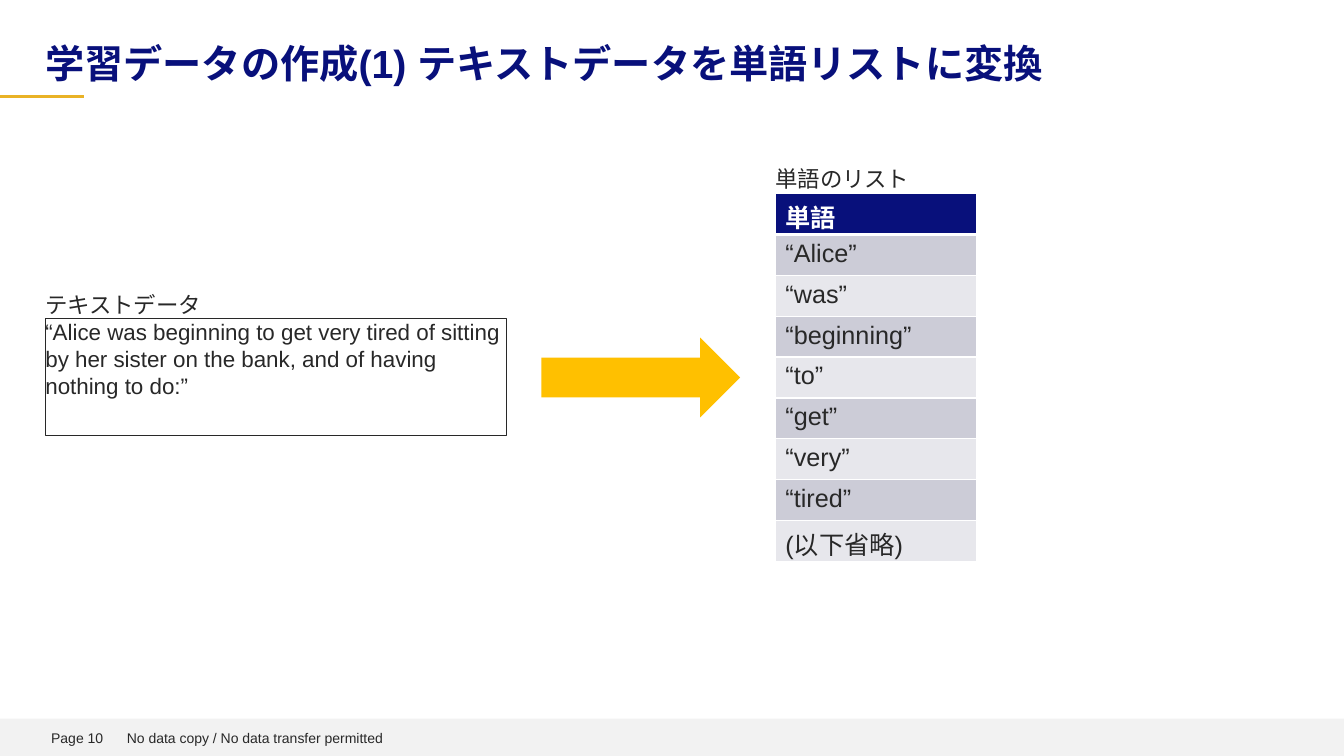
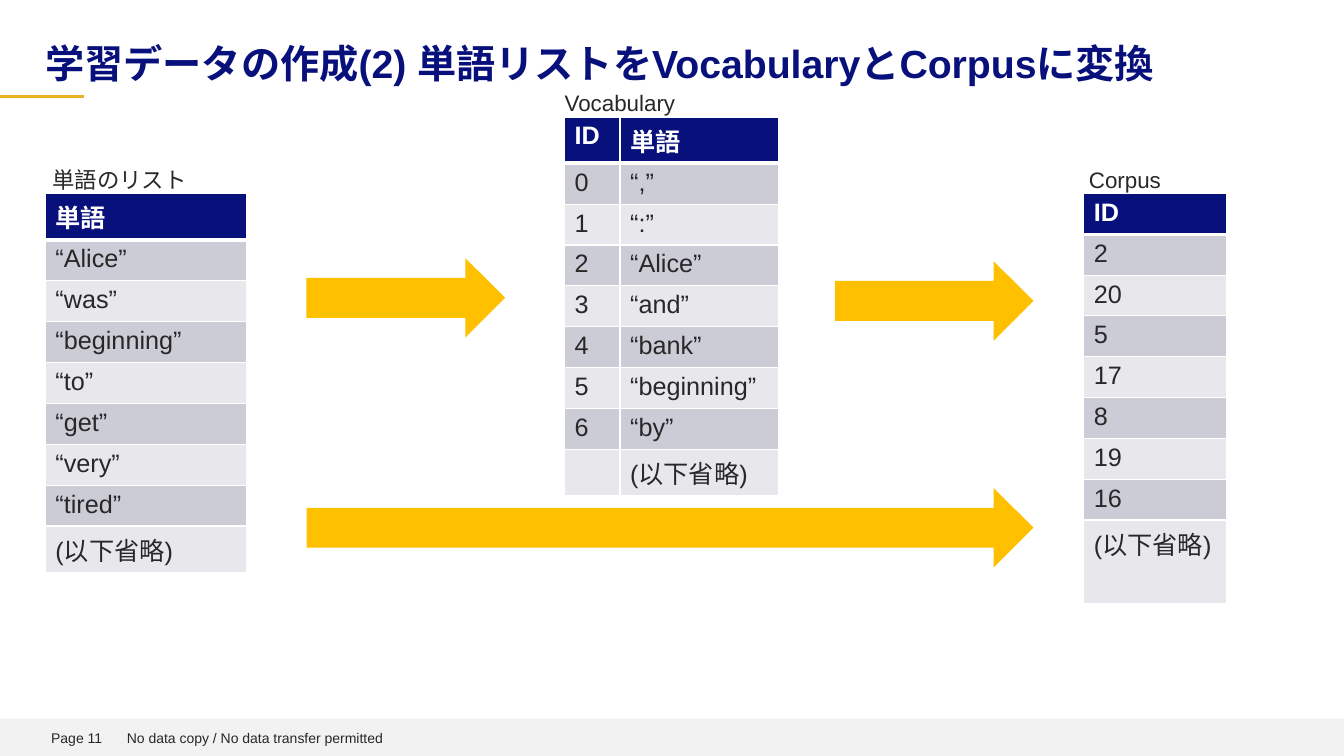
from lxml import etree
from pptx import Presentation
from pptx.dml.color import RGBColor
from pptx.enum.shapes import MSO_CONNECTOR, MSO_SHAPE
from pptx.enum.text import MSO_ANCHOR
from pptx.oxml.ns import qn
from pptx.util import Inches, Pt

NAVY = RGBColor(0x08, 0x10, 0x7B)
GOLD = RGBColor(0xE9, 0xB2, 0x26)
AMBER = RGBColor(0xFF, 0xC0, 0x00)
INK = RGBColor(0x28, 0x28, 0x28)
WHITE = RGBColor(0xFF, 0xFF, 0xFF)
FOOTER_GRAY = RGBColor(0xF2, 0xF2, 0xF2)
BANDS = (RGBColor(0xCC, 0xCC, 0xD7), RGBColor(0xE7, 0xE7, 0xEC))

FONT = "Arial"
STRAIGHT = MSO_CONNECTOR.STRAIGHT
RECTANGLE = MSO_SHAPE.RECTANGLE
RIGHT_ARROW = MSO_SHAPE.RIGHT_ARROW
TOP, MIDDLE, BOTTOM = MSO_ANCHOR.TOP, MSO_ANCHOR.MIDDLE, MSO_ANCHOR.BOTTOM

SLIDE_WIDTH, SLIDE_HEIGHT = 13.33, 7.5
MARGIN = 0.45
ROW_HEIGHT = 3.65 / 9
KANJI_ROW_HEIGHT = 0.46
SHORT_ROW_HEIGHT = 0.38
WRAPPED_ROW_HEIGHT = 0.83
LABEL_WIDTH, LABEL_HEIGHT = 1.65, 0.27
ARROW_WIDTH, ARROW_HEIGHT = 1.97, 0.79
OMITTED = "(以下省略)"
WORD_ROWS = [["単語"], ["“Alice”"], ["“was”"], ["“beginning”"], ["“to”"],
             ["“get”"], ["“very”"], ["“tired”"], [OMITTED]]
VOCABULARY = ["“,”", "“:”", "“Alice”", "“and”", "“bank”", "“beginning”", "“by”"]
VOCABULARY_ROWS = [["ID", "単語"],
                   *([str(number), word] for number, word in enumerate(VOCABULARY)),
                   ["", OMITTED]]
CORPUS_ROWS = [["ID"], ["2"], ["20"], ["5"], ["17"], ["8"], ["19"], ["16"], [OMITTED]]
EVEN_HEIGHTS = [ROW_HEIGHT] * 9
KANJI_HEIGHTS = [KANJI_ROW_HEIGHT, *[ROW_HEIGHT] * 7, KANJI_ROW_HEIGHT]
CORPUS_HEIGHTS = [*[ROW_HEIGHT] * 2, SHORT_ROW_HEIGHT, *[ROW_HEIGHT] * 5,
                  WRAPPED_ROW_HEIGHT]


def inches(*lengths):
    """Convert plain numbers to lengths in inches."""
    return [Inches(length) for length in lengths]


def style_paragraph(paragraph, size, color=INK, bold=False):
    """Set the font of a whole paragraph."""
    font = paragraph.font
    font.name, font.size, font.bold = FONT, Pt(size), bold
    font.color.rgb = color


def set_text(frame, text, size, color=INK, bold=False, anchor=TOP, inset=0):
    """Fill a text frame with one wrapped paragraph and return it."""
    frame.word_wrap = True
    frame.vertical_anchor = anchor
    frame.margin_left = frame.margin_right = Inches(inset)
    frame.margin_top = frame.margin_bottom = Inches(inset / 2)
    paragraph = frame.paragraphs[0]
    paragraph.text = text
    style_paragraph(paragraph, size, color, bold)
    return paragraph


def add_text(slide, box, text, size, **style):
    """Add a text box and return its paragraph."""
    textbox = slide.shapes.add_textbox(*inches(*box))
    return set_text(textbox.text_frame, text, size, **style)


def add_filled(slide, preset, box, color):
    """Add a preset shape with a plain fill and no line."""
    shape = slide.shapes.add_shape(preset, *inches(*box))
    shape.shadow.inherit = False
    shape.fill.solid()
    shape.fill.fore_color.rgb = color
    shape.line.fill.background()


def add_arrow(slide, left, top, width=ARROW_WIDTH):
    """Add an amber arrow pointing to the next step."""
    add_filled(slide, RIGHT_ARROW, (left, top, width, ARROW_HEIGHT), AMBER)


def add_label(slide, left, top, text):
    """Add the caption above a table or passage."""
    add_text(slide, (left, top, LABEL_WIDTH, LABEL_HEIGHT), text, 16)


def add_footer(slide, top, page):
    """Add the footer band with page number and notice."""
    add_filled(slide, RECTANGLE, (0, top, SLIDE_WIDTH, SLIDE_HEIGHT - top), FOOTER_GRAY)
    for left, width, text in ((0.41, 0.83, f"Page {page}"),
                              (1.16, 4.41, "No data copy / No data transfer permitted")):
        add_text(slide, (left, top + 0.04, width, 0.31), text, 10,
                 anchor=MIDDLE, inset=0.1)


def add_page(presentation, page, title):
    """Add a blank slide with the shared title, accent rule and footer."""
    slide = presentation.slides.add_slide(presentation.slide_layouts[6])
    rule = slide.shapes.add_connector(STRAIGHT, *inches(0, 0.96, 0.83, 0.96))
    rule.line.color.rgb = GOLD
    rule.line.width = Pt(2)
    etree.SubElement(rule._element.spPr, qn("a:effectLst"))
    add_footer(slide, 7.13, page)
    heading = add_text(slide, (MARGIN, 0.44, 12.44, 0.42), title, 28,
                       color=NAVY, bold=True, anchor=BOTTOM)
    heading.line_spacing = 0.9
    return slide


def set_borders(cell, bottom):
    """Draw white cell borders with the given bottom width in points."""
    properties = cell._tc.get_or_add_tcPr()
    for index, (side, width) in enumerate(
            (("lnL", 1), ("lnR", 1), ("lnT", 1), ("lnB", bottom))):
        line = etree.Element(qn(f"a:{side}"), w=str(Pt(width)))
        fill = etree.SubElement(line, qn("a:solidFill"))
        etree.SubElement(fill, qn("a:srgbClr"), val=str(WHITE))
        properties.insert(index, line)


def add_grid(slide, left, top, column_widths, rows, heights):
    """Add a banded table with a navy header row."""
    box = inches(left, top, sum(column_widths), sum(heights))
    table = slide.shapes.add_table(len(rows), len(column_widths), *box).table
    table.horz_banding = False
    for column, width in zip(table.columns, column_widths):
        column.width = Inches(width)
    for index, (row, height, texts) in enumerate(zip(table.rows, heights, rows)):
        row.height = Inches(height)
        header = index == 0
        for cell, text in zip(row.cells, texts):
            cell.fill.solid()
            cell.fill.fore_color.rgb = NAVY if header else BANDS[(index - 1) % 2]
            set_borders(cell, 3 if header else 1)
            paragraph = cell.text_frame.paragraphs[0]
            paragraph.text = text
            style_paragraph(paragraph, 18, WHITE if header else INK, header)


def add_passage(slide, box, text):
    """Add the outlined source passage."""
    passage = slide.shapes.add_textbox(*inches(*box))
    passage.line.color.rgb = INK
    passage.line.width = Pt(0.75)
    set_text(passage.text_frame, text, 16)


def build_word_list_slide(presentation):
    """Show how text data becomes a word list."""
    slide = add_page(presentation, 10, "学習データの作成(1) テキストデータを単語リストに変換")
    add_label(slide, MARGIN, 2.89, "テキストデータ")
    add_passage(slide, (MARGIN, 3.16, 4.57, 1.16),
                "“Alice was beginning to get very tired of sitting by her sister "
                "on the bank, and of having nothing to do:”")
    add_arrow(slide, 5.37, 3.35)
    add_label(slide, 7.69, 1.64, "単語のリスト")
    add_grid(slide, 7.69, 1.92, [2], WORD_ROWS, EVEN_HEIGHTS)


def build_corpus_slide(presentation):
    """Show how the word list becomes a vocabulary and a corpus."""
    slide = add_page(presentation, 11,
                     "学習データの作成(2) 単語リストをVocabularyとCorpusに変換")
    add_label(slide, 0.52, 1.65, "単語のリスト")
    add_grid(slide, MARGIN, 1.92, [2], WORD_ROWS, KANJI_HEIGHTS)
    add_label(slide, 5.6, 0.88, "Vocabulary")
    add_grid(slide, 5.6, 1.16, [0.55, 1.57], VOCABULARY_ROWS, KANJI_HEIGHTS)
    add_label(slide, 10.8, 1.65, "Corpus")
    add_grid(slide, 10.75, 1.92, [1.42], CORPUS_ROWS, CORPUS_HEIGHTS)
    add_arrow(slide, 3.04, 2.56)
    add_arrow(slide, 8.28, 2.59)
    add_arrow(slide, 3.04, 4.84, 7.21)


def main():
    """Build and save the presentation."""
    presentation = Presentation()
    presentation.slide_width, presentation.slide_height = inches(SLIDE_WIDTH, SLIDE_HEIGHT)
    build_word_list_slide(presentation)
    build_corpus_slide(presentation)
    presentation.save("out.pptx")


if __name__ == "__main__":
    main()
